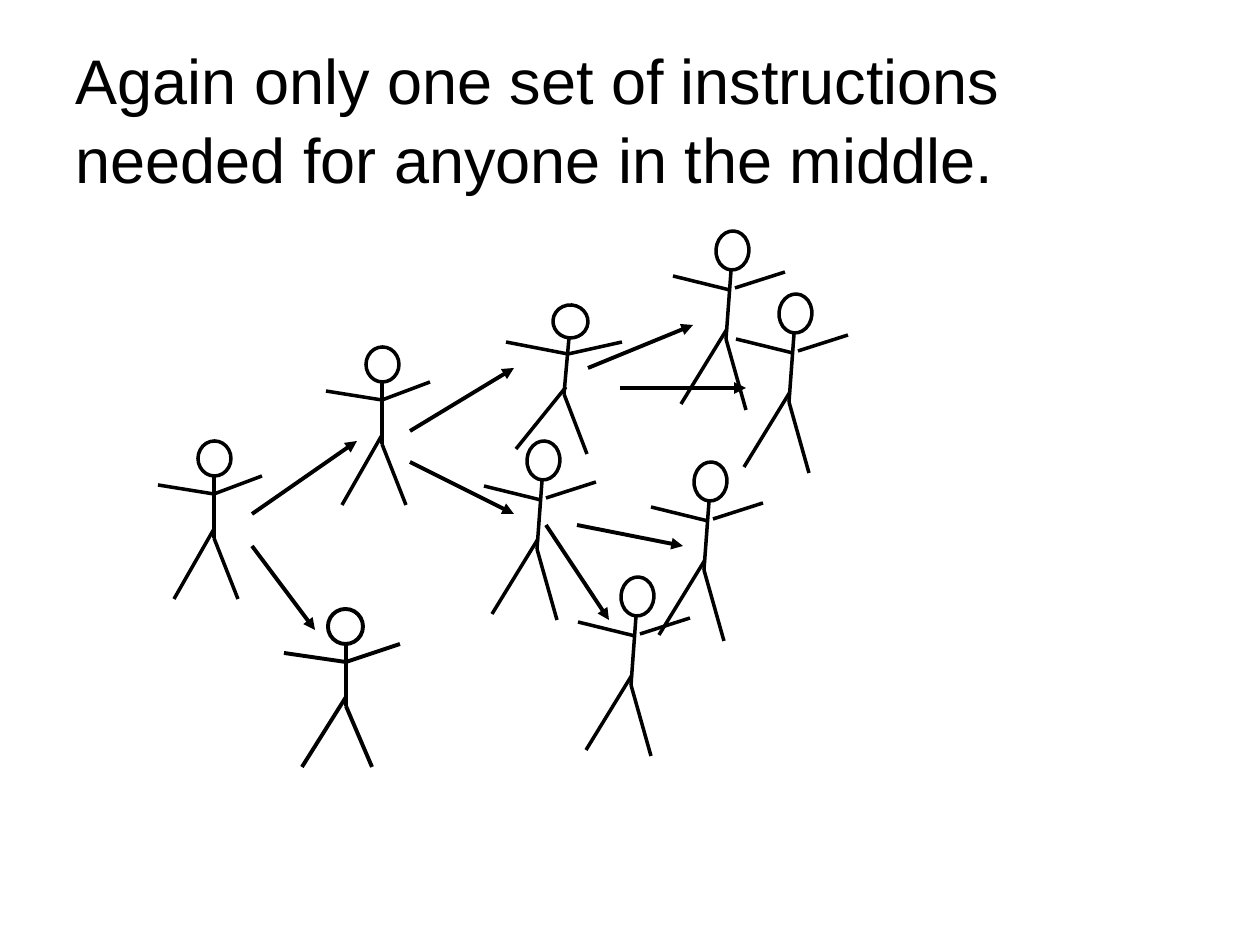
from dataclasses import dataclass

from lxml import etree
from pptx import Presentation
from pptx import util as u
from pptx.dml.color import RGBColor
from pptx.enum import shapes, text
from pptx.oxml.ns import qn


@dataclass(frozen=True)
class Theme:
    ink: RGBColor = RGBColor(0, 0, 0)
    font: str = "Arial"
    title_size: float = 36
    title_spacing: float = 1.05
    thin: float = 2
    thick: float = 2.25


THEME = Theme()
PX = 914400 / 126
SLIDE_SIZE = (1260, 945)

TITLE = "Again only one set of instructions needed for anyone in the middle."
TITLE_BOX = (63, 38, 1166, 158)

# Each pose is measured from the top left of the head. Limbs, as (x1, y1, x2, y2):
# spine, left leg, right leg, left arm, right arm.
POSES = {
    "upright": dict(
        head=(33, 35), tilt=0, width=THEME.thin,
        limbs=[(16, 35, 16, 97), (16, 88, -24, 158), (16, 97, 40, 158),
               (16, 53, -40, 44), (16, 53, 64, 35)]),
    "broad": dict(
        head=(35, 35), tilt=0, width=THEME.thick,
        limbs=[(18, 35, 18, 97), (18, 88, -26, 158), (18, 97, 44, 158),
               (18, 53, -44, 44), (18, 53, 72, 35)]),
    "short leaning": dict(
        head=(35, 33), tilt=4.3, width=THEME.thin,
        limbs=[(16, 33, 11, 89), (13, 82, -37, 144), (11, 89, 34, 149),
               (15, 49, -47, 37), (15, 49, 69, 37)]),
    "tall leaning": dict(
        head=(33, 39), tilt=4.3, width=THEME.thin,
        limbs=[(15, 40, 10, 108), (11, 98, -35, 173), (10, 108, 30, 179),
               (14, 59, -43, 45), (19, 57, 69, 41)]),
}

PEOPLE = [
    ("upright", 198, 441),
    ("upright", 366, 347),
    ("broad", 328, 609),
    ("short leaning", 553, 305),
    ("tall leaning", 694, 462),
    ("tall leaning", 716, 231),
    ("tall leaning", 779, 294),
    ("tall leaning", 527, 441),
    ("tall leaning", 621, 577),
]

ARROWS = [
    (252, 514, 357, 441),
    (410, 431, 514, 368),
    (588, 368, 693, 325),
    (620, 388, 746, 388),
    (410, 462, 514, 514),
    (577, 525, 683, 546),
    (546, 525, 609, 620),
    (252, 546, 315, 630),
]


def emu(*lengths):
    return [u.Emu(round(length * PX)) for length in lengths]


def add_title(slide):
    title = slide.shapes.title
    title.left, title.top, title.width, title.height = emu(*TITLE_BOX)
    frame = title.text_frame
    frame.text = TITLE
    frame.word_wrap = True
    frame.auto_size = text.MSO_AUTO_SIZE.NONE
    frame.vertical_anchor = text.MSO_ANCHOR.MIDDLE
    para = frame.paragraphs[0]
    para.alignment = text.PP_ALIGN.LEFT
    para.line_spacing = THEME.title_spacing
    font = para.runs[0].font
    font.name = THEME.font
    font.size = u.Pt(THEME.title_size)
    font.color.rgb = THEME.ink


def ink_line(shape, width):
    shape.line.color.rgb = THEME.ink
    shape.line.width = u.Pt(width)


def add_line(parent, ends, width):
    line = parent.shapes.add_connector(shapes.MSO_CONNECTOR.STRAIGHT, *emu(*ends))
    ink_line(line, width)
    etree.SubElement(line._element.spPr, qn("a:effectLst"))
    return line


def add_person(slide, pose_name, x, y):
    pose = POSES[pose_name]
    person = slide.shapes.add_group_shape()
    head = person.shapes.add_shape(shapes.MSO_SHAPE.OVAL, *emu(x, y, *pose["head"]))
    head.rotation = pose["tilt"]
    head.shadow.inherit = False
    head.fill.background()
    ink_line(head, pose["width"])
    for x1, y1, x2, y2 in pose["limbs"]:
        add_line(person, (x + x1, y + y1, x + x2, y + y2), pose["width"])


def add_arrow(slide, ends):
    arrow = add_line(slide, ends, THEME.thick)
    etree.SubElement(arrow.line._get_or_add_ln(), qn("a:tailEnd"), type="triangle")


def main():
    deck = Presentation()
    deck.slide_width, deck.slide_height = emu(*SLIDE_SIZE)
    slide = deck.slides.add_slide(deck.slide_layouts.get_by_name("Title Only"))
    add_title(slide)
    for person in PEOPLE:
        add_person(slide, *person)
    for ends in ARROWS:
        add_arrow(slide, ends)
    deck.save("out.pptx")


if __name__ == "__main__":
    main()
